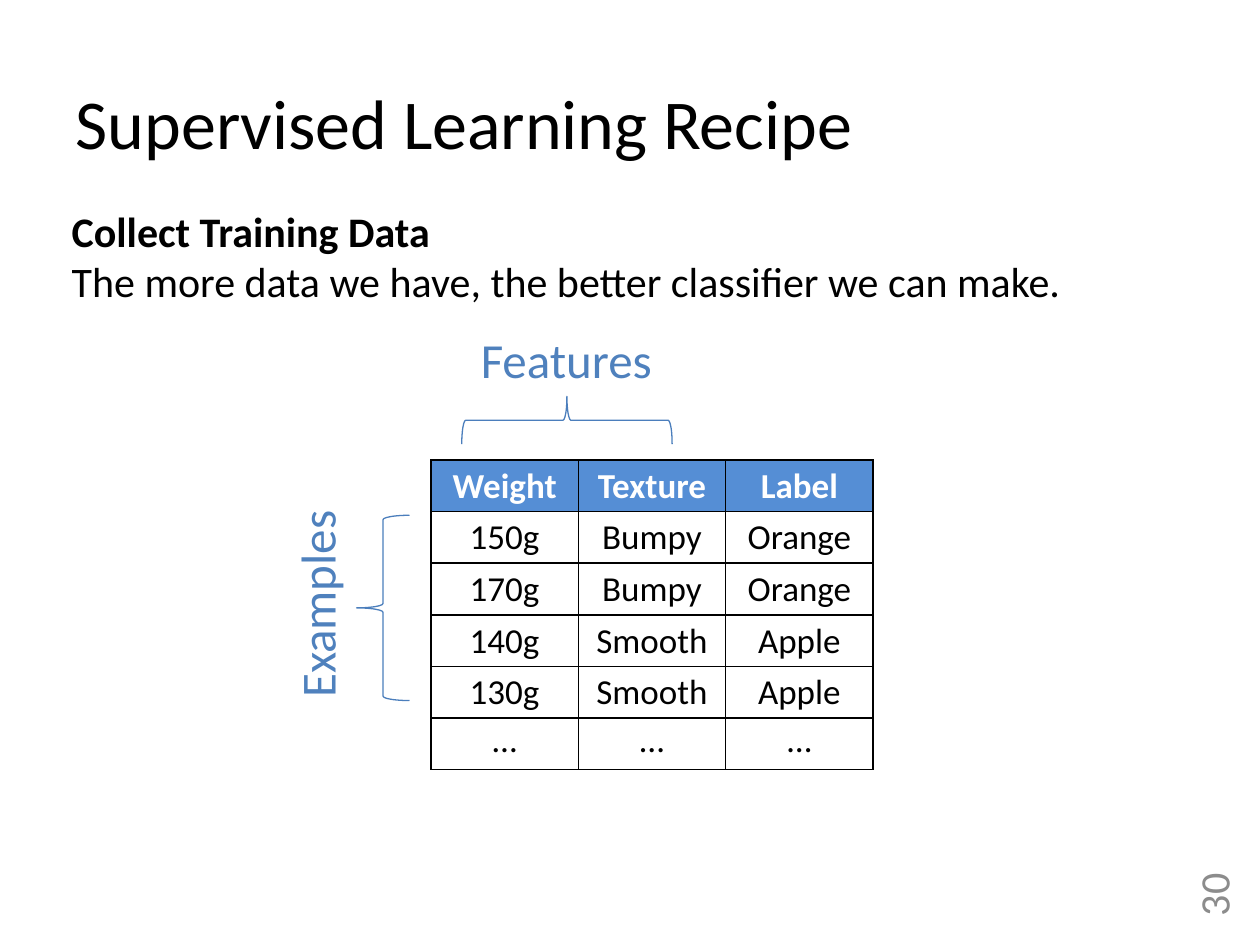
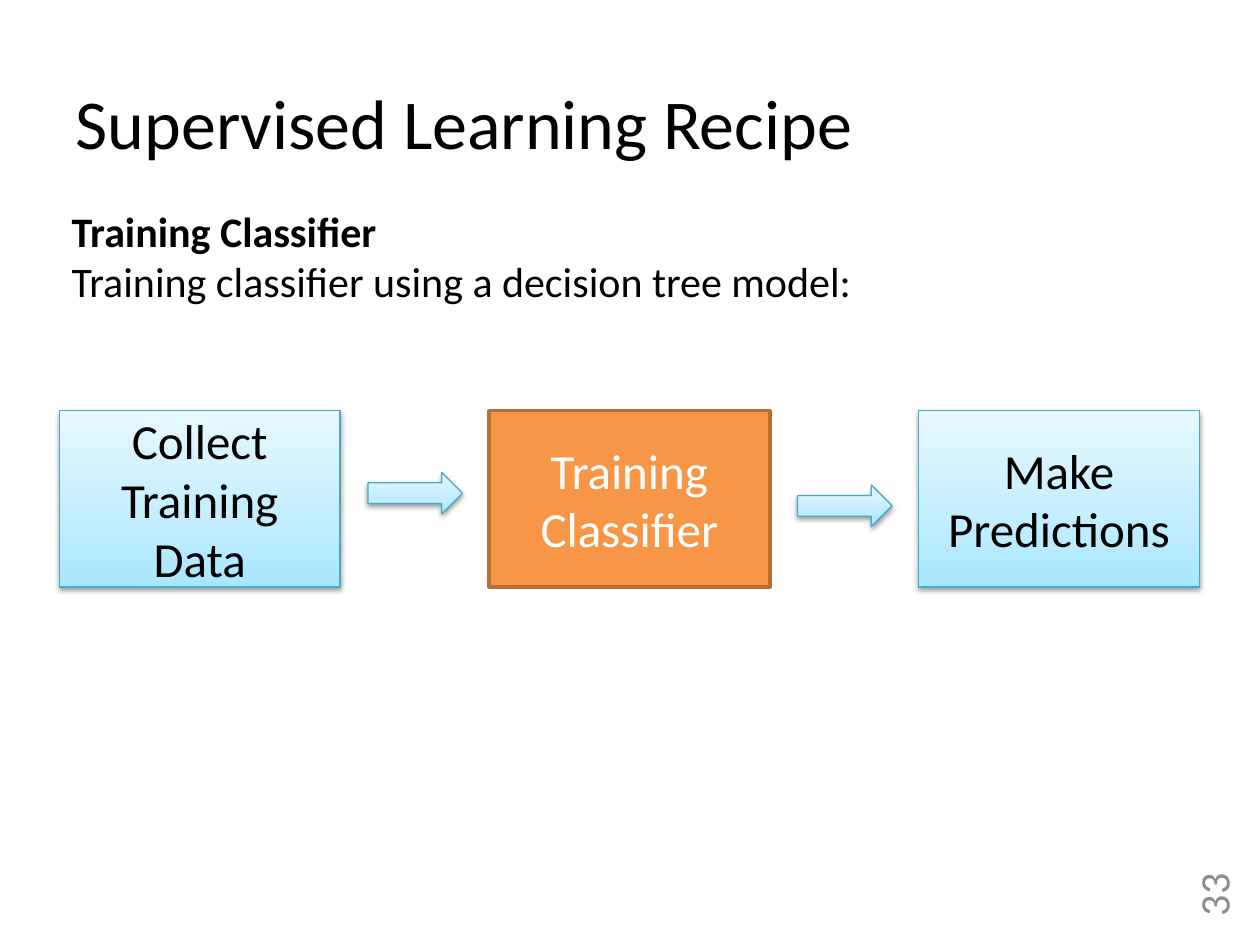
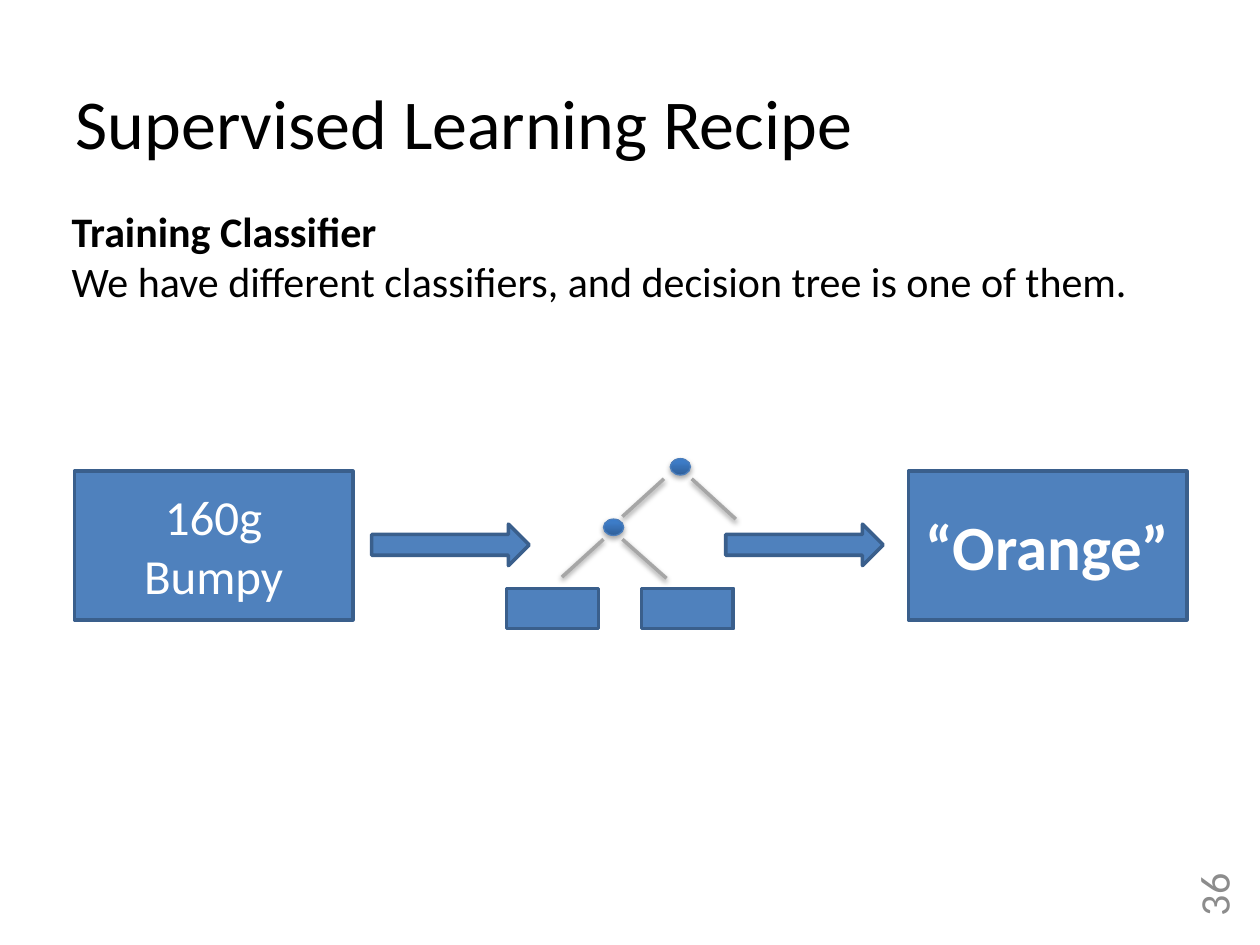
"""Build three slides about the supervised learning recipe."""
import lxml.etree
import pptx
import pptx.dml.color
import pptx.enum.shapes
import pptx.enum.text
import pptx.oxml.ns
import pptx.util

Inches = pptx.util.Inches
Pt = pptx.util.Pt
RGBColor = pptx.dml.color.RGBColor
Shape = pptx.enum.shapes.MSO_SHAPE
Align = pptx.enum.text.PP_ALIGN
Anchor = pptx.enum.text.MSO_ANCHOR
AutoSize = pptx.enum.text.MSO_AUTO_SIZE
qn = pptx.oxml.ns.qn

FONT = "Calibri"
BLACK = RGBColor(0x00, 0x00, 0x00)
WHITE = RGBColor(0xFF, 0xFF, 0xFF)
GREY = RGBColor(0x8C, 0x8C, 0x8C)
BRANCH_GREY = RGBColor(0xA6, 0xA6, 0xA6)
BLUE = RGBColor(0x4F, 0x81, 0xBD)
DARK_BLUE = RGBColor(0x3A, 0x5F, 0x8C)
EDGE_BLUE = RGBColor(0x4B, 0x7E, 0xBC)
HEADER_BLUE = RGBColor(0x55, 0x8E, 0xD5)
TEAL = RGBColor(0x46, 0xAA, 0xC5)
ORANGE = RGBColor(0xF7, 0x96, 0x46)
DARK_ORANGE = RGBColor(0xB7, 0x6F, 0x34)
AQUA_STOPS = (
    (0, RGBColor(0xA7, 0xE6, 0xFF)),
    (35, RGBColor(0xC1, 0xED, 0xFF)),
    (100, RGBColor(0xE7, 0xF8, 0xFF)),
)
NODE_STOPS = (
    (0, RGBColor(0x2F, 0x5F, 0x99)),
    (80, RGBColor(0x3D, 0x7C, 0xC7)),
    (100, RGBColor(0x3A, 0x7C, 0xCB)),
)

AQUA = {"fill": AQUA_STOPS, "line": (TEAL, 0.75), "shadow": 38}
SOLID_ORANGE = {"fill": ORANGE, "line": (DARK_ORANGE, 2)}
SOLID_BLUE = {"fill": BLUE, "line": (DARK_BLUE, 2)}
NODE = {"fill": NODE_STOPS, "line": (EDGE_BLUE, 0.75), "shadow": 35}
BRACE = {"line": (EDGE_BLUE, 0.75)}


def add_color(parent, color):
    """Append an RGB colour element."""
    return lxml.etree.SubElement(parent, qn("a:srgbClr"), val=str(color))


class Deck:
    """Hold the style and the current slide."""

    def __init__(self):
        self.presentation = pptx.Presentation()
        self.presentation.slide_width = Inches(10)
        self.presentation.slide_height = Inches(7.5)
        self.slide = None

    def start_slide(self, number, heading, sentence):
        """Add a slide with the shared title, introduction and number."""
        layout = self.presentation.slide_layouts[5]
        self.slide = self.presentation.slides.add_slide(layout)
        title = self.slide.shapes.title
        title.left, title.top = Inches(0.5), Inches(0.58)
        title.width, title.height = Inches(9.08), Inches(0.77)
        self.set_text(title, "Supervised Learning Recipe", 40, BLACK, Align.LEFT, Anchor.TOP)
        title.text_frame.auto_size = AutoSize.NONE
        introduction = self.text((0.47, 1.58, 9.08, 0.91), f"{heading}\n{sentence}", 24,
                                 BLACK, Align.LEFT)
        introduction.text_frame.paragraphs[0].runs[0].font.bold = True
        self.text((9.29, 6.96, 0.67, 0.42), number, 24, GREY, Align.RIGHT,
                  Anchor.MIDDLE, rotation=270)

    def set_text(self, target, text, size, color, align=Align.CENTER,
                 anchor=Anchor.MIDDLE, bold=False):
        """Set and format the text of a shape or table cell."""
        target.text_frame.text = text
        target.text_frame.word_wrap = True
        target.text_frame.vertical_anchor = anchor
        for paragraph in target.text_frame.paragraphs:
            paragraph.alignment = align
            for run in paragraph.runs:
                run.font.name = FONT
                run.font.size = Pt(size)
                run.font.bold = bold
                run.font.color.rgb = color

    def text(self, box, text, size, color, align=Align.CENTER, anchor=Anchor.TOP,
             rotation=0, wrap=True):
        """Add a text box."""
        shape = self.slide.shapes.add_textbox(*map(Inches, box))
        self.set_text(shape, text, size, color, align, anchor)
        shape.text_frame.word_wrap = wrap
        shape.rotation = rotation
        return shape

    def shape(self, kind, box, line, fill=None, shadow=None, rotation=0):
        """Add a preset shape with a solid, gradient or empty fill."""
        shape = self.slide.shapes.add_shape(kind, *map(Inches, box))
        shape.rotation = rotation
        if fill is None:
            shape.fill.background()
        elif isinstance(fill, RGBColor):
            shape.fill.solid()
            shape.fill.fore_color.rgb = fill
        else:
            self.gradient(shape, fill)
        shape.line.color.rgb, shape.line.width = line[0], Pt(line[1])
        shape.shadow.inherit = False
        if shadow:
            self.shadow(shape, shadow)
        return shape

    def box(self, box, text, style, size=28, color=WHITE, bold=False):
        """Add a labelled rectangle."""
        shape = self.shape(Shape.RECTANGLE, box, **style)
        self.set_text(shape, text, size, color, bold=bold)

    def gradient(self, shape, stops):
        """Fill a shape with colour stops running upwards."""
        shape.fill.gradient()
        shape.fill.gradient_angle = 90
        stop_list = shape._element.spPr.find(".//" + qn("a:gsLst"))
        for stop in list(stop_list):
            stop_list.remove(stop)
        for position, color in stops:
            stop = lxml.etree.SubElement(stop_list, qn("a:gs"), pos=str(position * 1000))
            add_color(stop, color)

    def shadow(self, shape, opacity):
        """Add a soft shadow below a shape or connector."""
        effects = shape._element.spPr.find(qn("a:effectLst"))
        outer = lxml.etree.SubElement(
            effects, qn("a:outerShdw"), blurRad=str(Pt(3.1)), dist=str(Pt(1.6)),
            dir="5400000", rotWithShape="0")
        color = add_color(outer, BLACK)
        lxml.etree.SubElement(color, qn("a:alpha"), val=str(opacity * 1000))

    def branch(self, start, end):
        """Add a straight tree branch."""
        connector = self.slide.shapes.add_connector(
            pptx.enum.shapes.MSO_CONNECTOR.STRAIGHT, *map(Inches, start + end))
        connector.line.color.rgb = BRANCH_GREY
        connector.line.width = Pt(2)
        lxml.etree.SubElement(connector._element.spPr, qn("a:effectLst"))
        self.shadow(connector, 38)

    def border(self, cell):
        """Draw thin black borders around a cell."""
        properties = cell._tc.get_or_add_tcPr()
        for side in ("a:lnL", "a:lnR", "a:lnT", "a:lnB"):
            line = lxml.etree.SubElement(properties, qn(side), w=str(Pt(1)))
            add_color(lxml.etree.SubElement(line, qn("a:solidFill")), BLACK)

    def table(self, left, top, column_width, row_height, rows):
        """Add a bordered table with a coloured header row."""
        column_count, row_count = len(rows[0]), len(rows)
        table = self.slide.shapes.add_table(
            row_count, column_count, Inches(left), Inches(top),
            Inches(column_width * column_count), Inches(row_height * row_count)).table
        table.horz_banding = False
        for column in table.columns:
            column.width = Inches(column_width)
        for row_index, values in enumerate(rows):
            table.rows[row_index].height = Inches(row_height)
            header = row_index == 0
            anchor = Anchor.TOP if row_index == row_count - 1 else Anchor.MIDDLE
            for column_index, value in enumerate(values):
                cell = table.cell(row_index, column_index)
                cell.margin_left = cell.margin_right = cell.margin_top = Inches(0.01)
                cell.margin_bottom = 0
                self.set_text(cell, value, 20, WHITE if header else BLACK, bold=header)
                cell.vertical_anchor = anchor
                self.border(cell)
                if header:
                    cell.fill.solid()
                    cell.fill.fore_color.rgb = HEADER_BLUE
                else:
                    cell.fill.background()


def build_training_data(deck):
    """Show the training table with its features and examples."""
    deck.start_slide("30", "Collect Training Data",
                     "The more data we have, the better classifier we can make.")
    deck.table(3.42, 3.65, 1.17, 0.41, (
        ("Weight", "Texture", "Label"),
        ("150g", "Bumpy", "Orange"),
        ("170g", "Bumpy", "Orange"),
        ("140g", "Smooth", "Apple"),
        ("130g", "Smooth", "Apple"),
        ("…", "…", "…"),
    ))
    deck.shape(Shape.RIGHT_BRACE, (4.31, 2.5, 0.38, 1.67), rotation=270, **BRACE)
    deck.text((3.71, 2.57, 1.57, 0.57), "Features", 28, BLUE, wrap=False)
    deck.text((1.66, 4.51, 1.7, 0.57), "Examples", 28, BLUE, rotation=270, wrap=False)
    deck.shape(Shape.LEFT_BRACE, (2.83, 4.09, 0.42, 1.47), **BRACE)


def build_process(deck):
    """Show the three steps with training highlighted."""
    deck.start_slide("33", "Training Classifier",
                     "Training classifier using a decision tree model:")
    steps = (
        ("Collect Training Data", AQUA, BLACK),
        ("Training Classifier", SOLID_ORANGE, WHITE),
        ("Make Predictions", AQUA, BLACK),
    )
    pitch = 3.41
    for index, (label, style, color) in enumerate(steps):
        deck.box((0.47 + pitch * index, 3.26, 2.23, 1.4), label, style, color=color)
    for index, top in enumerate((3.75, 3.85)):
        deck.shape(Shape.RIGHT_ARROW, (2.92 + pitch * index, top, 0.75, 0.33), **AQUA)


def build_prediction(deck):
    """Show a decision tree turning features into a label."""
    deck.start_slide("36", "Training Classifier",
                     "We have different classifiers, and decision tree is one of them.")
    for left, top in ((4.79, 4.12), (5.32, 3.64)):
        deck.shape(Shape.OVAL, (left, top, 0.16, 0.13), **NODE)
    branches = (
        ((5.27, 3.8), (4.94, 4.1)),
        ((4.79, 4.28), (4.46, 4.58)),
        ((5.49, 3.8), (5.84, 4.12)),
        ((4.94, 4.28), (5.29, 4.59)),
    )
    for start, end in branches:
        deck.branch(start, end)
    for leaf_left in (4.02, 5.09):
        deck.shape(Shape.RECTANGLE, (leaf_left, 4.67, 0.73, 0.32), **SOLID_BLUE)
    for arrow_left in (2.95, 5.76):
        deck.shape(Shape.RIGHT_ARROW, (arrow_left, 4.16, 1.25, 0.33), **SOLID_BLUE)
    deck.box((7.21, 3.74, 2.21, 1.18), "“Orange”", SOLID_BLUE, size=36, bold=True)
    deck.box((0.59, 3.74, 2.21, 1.18), "160g\vBumpy", SOLID_BLUE)


def main():
    """Build and save the presentation."""
    deck = Deck()
    build_training_data(deck)
    build_process(deck)
    build_prediction(deck)
    deck.presentation.save("out.pptx")


if __name__ == "__main__":
    main()
